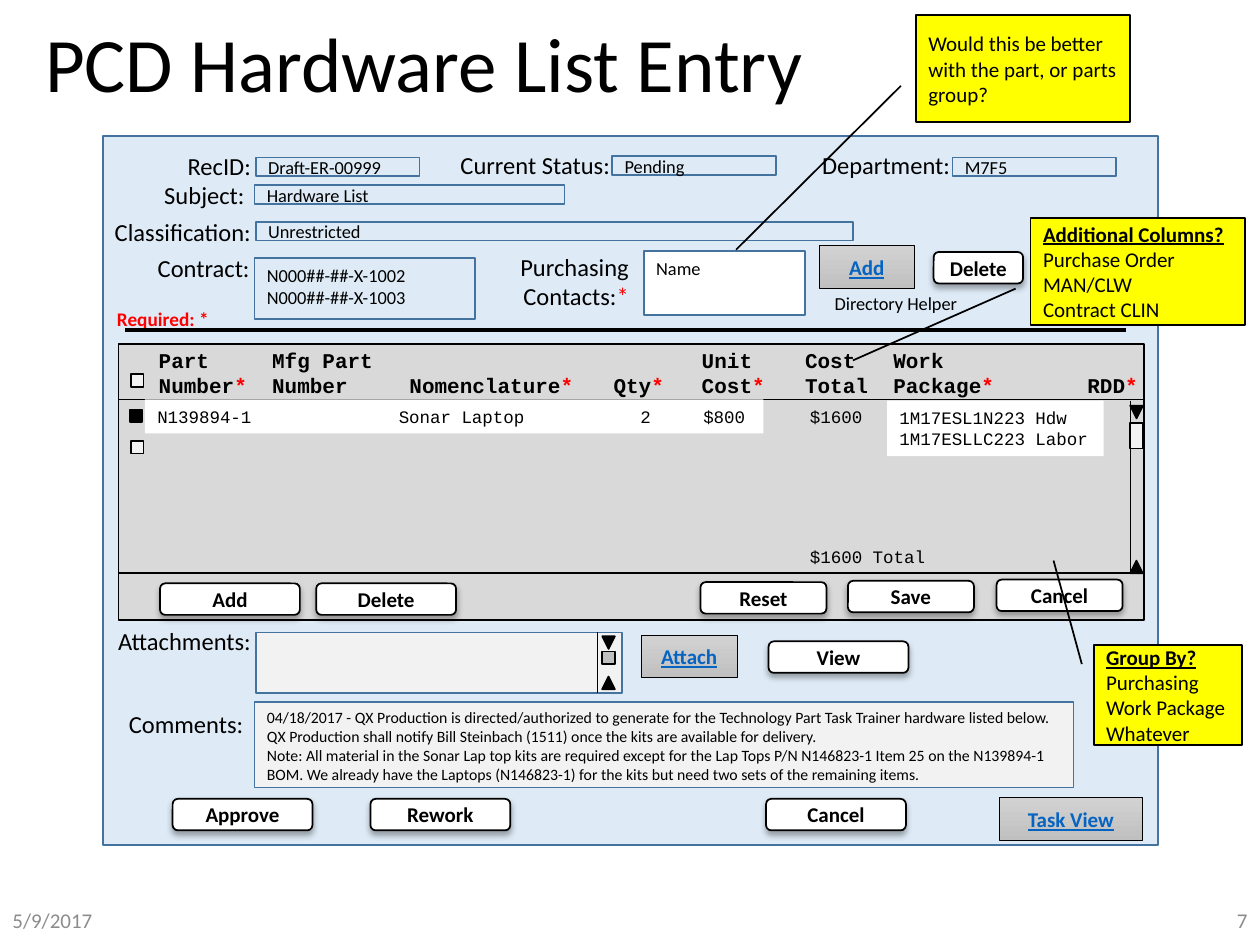
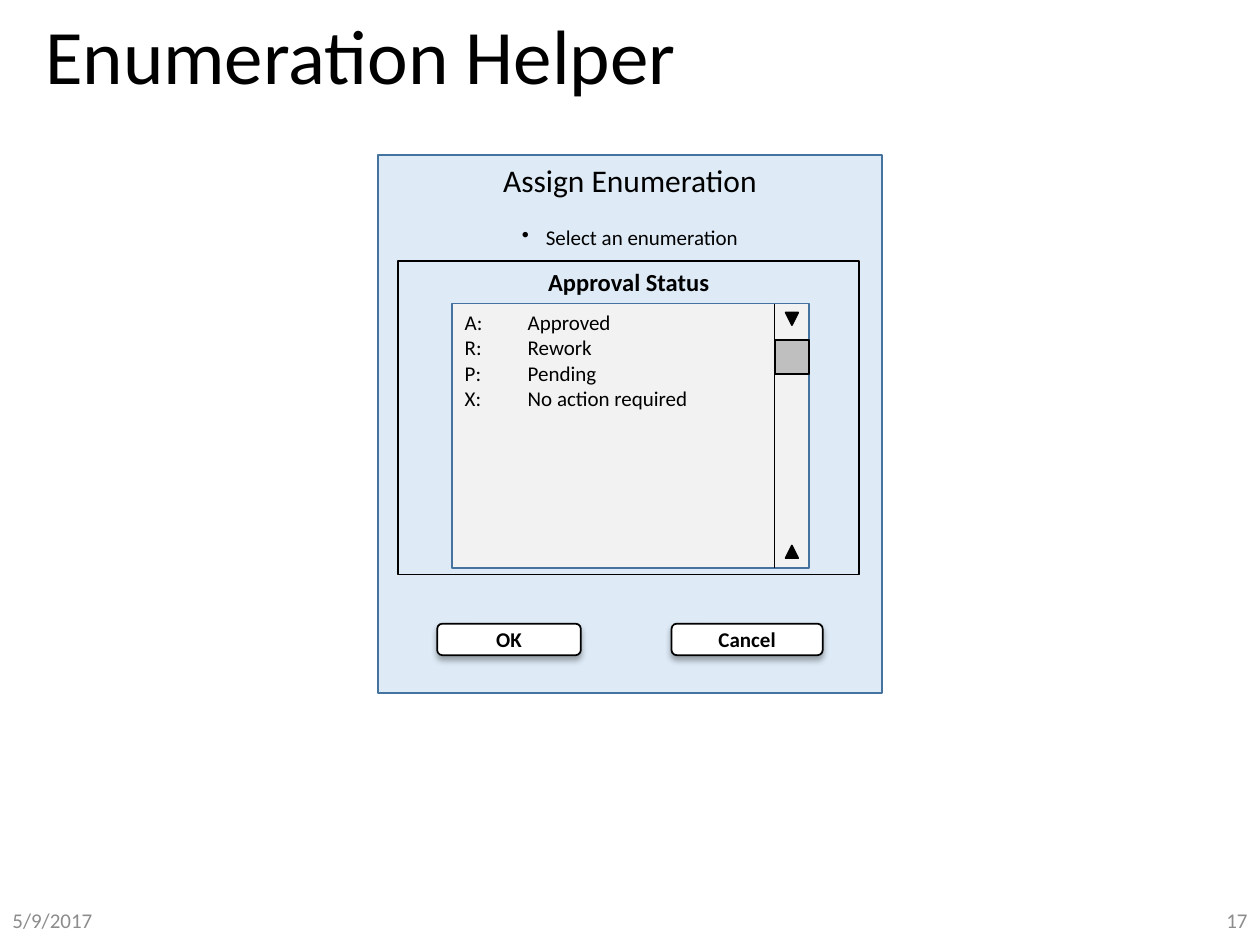
from dataclasses import dataclass
from typing import Any

from lxml import etree
from pptx import Presentation
from pptx.dml.color import RGBColor
from pptx.enum.shapes import MSO_CONNECTOR, MSO_SHAPE
from pptx.enum.text import MSO_ANCHOR, PP_ALIGN
from pptx.oxml.ns import qn
from pptx.util import Inches, Pt

RECT, ROUND = MSO_SHAPE.RECTANGLE, MSO_SHAPE.ROUNDED_RECTANGLE
PROCESS, TRIANGLE = MSO_SHAPE.FLOWCHART_PROCESS, MSO_SHAPE.ISOSCELES_TRIANGLE
LINK, CALLOUT = MSO_SHAPE.ACTION_BUTTON_CUSTOM, MSO_SHAPE.LINE_CALLOUT_1
STRAIGHT = MSO_CONNECTOR.STRAIGHT
LEFT, CENTER, RIGHT = PP_ALIGN.LEFT, PP_ALIGN.CENTER, PP_ALIGN.RIGHT
TOP, MIDDLE, BOTTOM = MSO_ANCHOR.TOP, MSO_ANCHOR.MIDDLE, MSO_ANCHOR.BOTTOM

BLACK, WHITE, RED, YELLOW = "000000", "FFFFFF", "FF0000", "FFFF00"
PANEL, EDGE, PALE = "DEEBF7", "43739E", "F2F2F2"
GRID, THUMB, MUTED, LINK_BLUE = "D9D9D9", "BFBFBF", "8C8C8C", "0563C1"
SANS, MONO = "Calibri", "Courier New"

WIDTH, HEIGHT, COLS = Inches(10), Inches(7.5), 100
CELL = WIDTH / COLS  # square grid: 100 columns by 75 rows
MONO_10 = 1 / 12  # character width in inches at 10 pt


@dataclass
class Box:
    """A region of the grid; parts are placed from its top left corner."""
    shapes: Any
    x: float = 0
    y: float = 0
    w: float = COLS
    h: float = 75

    def sub(self, x, y, w, h):
        return Box(self.shapes, self.x + x, self.y + y, w, h)

    def point(self, x, y):
        return round((self.x + x) * CELL), round((self.y + y) * CELL)

    def at(self, x, y, w, h):
        return *self.point(x, y), round(w * CELL), round(h * CELL)


def rgb(color):
    return RGBColor.from_string(color)


# Basic parts
def shape(box, at, kind=RECT, fill=None, line=BLACK, weight=1):
    sp = box.shapes.add_shape(kind, *box.at(*at))
    sp.shadow.inherit = False
    if fill:
        sp.fill.solid()
        sp.fill.fore_color.rgb = rgb(fill)
    else:
        sp.fill.background()
    if line:
        sp.line.color.rgb = rgb(line)
        sp.line.width = Pt(weight)
    else:
        sp.line.fill.background()
    return sp


def write(sp, lines, size, color=BLACK, font=SANS, bold=False, underline=False,
          align=LEFT, anchor=TOP):
    """Fill a shape with paragraphs; a closing asterisk is red."""
    tf = sp.text_frame
    tf.word_wrap = True
    tf.vertical_anchor = anchor
    for i, line in enumerate(lines):
        p = tf.add_paragraph() if i else tf.paragraphs[0]
        p.alignment = align
        p.font.size, p.font.name = Pt(size), font
        p.font.bold, p.font.underline = bold, underline
        p.font.color.rgb = rgb(color)
        p.add_run().text = line.removesuffix("*")
        if line.endswith("*"):
            r = p.add_run()
            r.text = "*"
            r.font.color.rgb = rgb(RED)
    return tf


def text(box, at, lines, size, **style):
    return write(box.shapes.add_textbox(*box.at(*at)), lines, size, **style)


def rule(box, start, end, weight):
    c = box.shapes.add_connector(STRAIGHT, *box.point(*start), *box.point(*end))
    c.line.color.rgb = rgb(BLACK)
    c.line.width = Pt(weight)
    etree.SubElement(c._element.spPr, qn("a:effectLst"))


def set_tabs(p, stops):
    tabs = etree.Element(qn("a:tabLst"))
    for stop in stops:
        etree.SubElement(tabs, qn("a:tab"), pos=str(Inches(stop)), algn="l")
    p._p.get_or_add_pPr().find(qn("a:defRPr")).addprevious(tabs)


def set_bullet(p, indent):
    pPr = p._p.get_or_add_pPr()
    pPr.set("marL", str(Inches(indent)))
    pPr.set("indent", str(-Inches(indent)))
    bullet = etree.Element(qn("a:buChar"), char="•")
    pPr.find(qn("a:defRPr")).addprevious(bullet)


# Form controls
def button(box, x, y, w, caption):
    sp = shape(box, (x, y, w, 2.5), ROUND, WHITE)
    effects = sp._element.spPr.find(qn("a:effectLst"))
    shadow = etree.SubElement(effects, qn("a:outerShdw"), blurRad=str(Pt(3.5)),
                              dist=str(Pt(2.2)), dir="5400000", algn="t", rotWithShape="0")
    color = etree.SubElement(shadow, qn("a:srgbClr"), val=BLACK)
    etree.SubElement(color, qn("a:alpha"), val="32000")
    write(sp, [caption], 12, bold=True, align=CENTER, anchor=MIDDLE)


def link_button(box, x, y, w, caption):
    sp = shape(box, (x, y, w, 3.4), LINK, weight=0.5)
    sp.fill.gradient()
    sp.fill.gradient_angle = 270
    for stop, color in zip(sp.fill.gradient_stops, ("D2D2D2", "C0C0C0")):
        stop.color.rgb = rgb(color)
    write(sp, [caption], 12, LINK_BLUE, bold=True, underline=True,
          align=CENTER, anchor=MIDDLE)


def label(box, x, y, w, caption, h=3.4):
    text(box, (x, y, w, h), [caption], 14, align=RIGHT)


def field(box, at, lines, fill=None, size=10.5, anchor=TOP):
    return write(shape(box, at, fill=fill, line=EDGE), lines, size, anchor=anchor)


def scrollbar(bar, pads, thumb_y, thumb_w, thumb_h, fill):
    rule(bar, (0, 0), (0, bar.h), 0.5)
    middle = bar.w / 2
    shape(bar, (middle - 0.5, pads[0], 1, 1), TRIANGLE, BLACK).rotation = 180
    shape(bar, (middle - 0.5, bar.h - pads[1] - 1, 1, 1), TRIANGLE, BLACK)
    shape(bar, (middle - thumb_w / 2, thumb_y, thumb_w, thumb_h), PROCESS, fill)


def callout(box, at, pointer, lines):
    sp = shape(box, at, CALLOUT, YELLOW)
    for i, value in enumerate(pointer):
        sp.adjustments[i] = value
    tf = write(sp, lines, 12, anchor=MIDDLE)
    if len(lines) > 1:
        tf.paragraphs[0].font.bold = tf.paragraphs[0].font.underline = True


# Regions of the hardware form
def record_fields(box):
    for x, y, w, caption in [
            (4.7, 0.7, 8, "RecID:"), (3.8, 3, 8.4, "Subject:"),
            (-0.3, 5.9, 13, "Classification:"), (3.3, 8.8, 9.3, "Contract:"),
            (27.2, 0.6, 14, "Current Status:"), (55.9, 0.6, 12.3, "Department:")]:
        label(box, x, y, w, caption)
    for x, y, w, value in [
            (12.1, 1.7, 13, "Draft-ER-00999"), (12, 3.9, 24.6, "Hardware List"),
            (12.1, 6.8, 47.4, "Unrestricted"), (40.4, 1.6, 13, "Pending"),
            (67.4, 1.7, 13, "M7F5")]:
        field(box, (x, y, w, 1.5), [value], anchor=MIDDLE)
    field(box, (12, 9.7, 17.5, 4.8), ["N000##-##-X-1002", "N000##-##-X-1003"])
    # Purchasing contacts
    label(box, 31.4, 8.7, 11.3, "Purchasing Contacts:*", 5.7)
    field(box, (42.9, 9.1, 12.8, 5.1), ["Name"], WHITE)
    button(box, 65.9, 9.2, 7.1, "Delete")
    text(box, (56.5, 11.9, 12.8, 2.7), ["Directory Helper"], 10.5, align=CENTER)
    link_button(box, 56.8, 8.7, 7.6, "Add")
    # Closing rule
    text(box, (0.1, 13.1, 11.5, 2.9), ["Required: *"], 11, color=RED, bold=True)
    rule(box, (1.7, 15.4), (81.2, 15.4), 2.25)


def parts_list(box):
    shape(box, (0, 0, box.w, box.h), PROCESS, GRID)
    scrollbar(box.sub(80.3, 4.5, 1, 13.7), (0.4, 0), 1.8, 1, 2, PALE)
    for y in (4.4, 18.2):
        rule(box, (0, y), (box.w, y), 1)
    # Column heads, one cell per character at 12 pt
    for x, *lines in [
            (3.1, "Part", "Number*"), (12.1, "Mfg Part", "Number"),
            (23, "Nomenclature*"), (39.2, "Qty*"), (46.2, "Unit", "Cost*"),
            (54.4, "Cost", "Total"), (61.4, "Work", "Package*"), (76.8, "RDD*")]:
        w = max(map(len, lines)) + 0.4
        tf = text(box, (x, 0.4, w, 4), lines, 12, font=MONO, bold=True, anchor=BOTTOM)
        tf.margin_left = tf.margin_right = Inches(0.01)
        tf.margin_top = tf.margin_bottom = Inches(0.01)
    # Check boxes
    for x, y, fill in [(1, 2.4, PALE), (0.9, 5.2, BLACK), (1, 7.7, PALE)]:
        shape(box, (x, y, 1, 1), PROCESS, fill)
    # Row
    tf = write(shape(box, (2.1, 4.4, 49.1, 2.7), fill=WHITE, line=None),
               ["N139894-1\tSonar Laptop\t2\t$800"], 10, font=MONO)
    set_tabs(tf.paragraphs[0], [n * MONO_10 for n in (23, 46, 52)])
    write(shape(box, (61, 4.5, 17.2, 4.4), fill=WHITE, line=None),
          ["1M17ESL1N223 Hdw", "1M17ESLLC223 Labor"], 10, font=MONO)
    tf = text(box, (53.9, 4.4, 11.3, 14.5), ["$1600", "$1600 Total"], 10, font=MONO)
    tf.paragraphs[1].space_before = Pt(68)
    # Buttons
    for x, y, w, caption in [
            (3.3, 19, 11.1, "Add"), (15.7, 19, 11.1, "Delete"),
            (46.2, 18.9, 10, "Reset"), (57.9, 18.8, 10, "Save"),
            (69.7, 18.7, 10, "Cancel")]:
        button(box, x, y, w, caption)


def attachments(box):
    label(box, 0, 0, 12.7, "Attachments:")
    shape(box, (12.1, 1, 29.1, 4.8), fill=PALE, line=EDGE)
    scrollbar(box.sub(39.2, 1, 1.8, 4.8), (0.3, 0.3), 1.5, 1, 1, THUMB)
    link_button(box, 42.7, 1.2, 7.6, "Attach")
    button(box, 52.8, 1.7, 11.1, "View")


def comments(box):
    label(box, 0, 0.1, 12.1, "Comments:")
    field(box, (12, 0, 65, box.h), [
        "04/18/2017 - QX Production is directed/authorized to generate for the "
        "Technology Part Task Trainer hardware listed below. QX Production shall "
        "notify Bill Steinbach (1511) once the kits are available for delivery.",
        "Note: All material in the Sonar Lap top kits are required except for the "
        "Lap Tops P/N N146823-1 Item 25 on the N139894-1 BOM. We already have the "
        "Laptops (N146823-1) for the kits but need two sets of the remaining items.",
    ], PALE, 9)


def form_actions(box):
    for x, caption in [(5.5, "Approve"), (21.2, "Rework"), (52.6, "Cancel")]:
        button(box, x, 0.1, 11.1, caption)
    link_button(box, 71.1, 0, 11.4, "Task View")


def review_notes(box):
    callout(box, (81.8, 17.3, 17, 8.5), (0.66, -0.07, 1.33, -0.83),
            ["Additional Columns?", "Purchase Order", "MAN/CLW", "Contract CLIN"])
    callout(box, (86.8, 51.2, 11.8, 7.9), (0.19, -0.08, -0.85, -0.27),
            ["Group By?", "Purchasing", "Work Package", "Whatever"])
    callout(box, (72.7, 1.2, 17, 8.5), (0.66, -0.07, 2.19, -0.84),
            ["Would this be better with the part, or parts group?"])


def enumeration_dialog(box):
    tf = write(shape(box, (0, 0, box.w, box.h), fill=PANEL, line=EDGE),
               ["Assign Enumeration", "Select an enumeration"], 18, align=CENTER)
    hint = tf.paragraphs[1]
    hint.font.size, hint.space_before = Pt(12), Pt(14.6)
    set_bullet(hint, 0.19)
    for x, w, caption in [(4.7, 11.4, "OK"), (23.3, 12, "Cancel")]:
        button(box, x, 37.2, w, caption)
    # Status list
    tf = field(box, (5.9, 11.8, 28.3, 21), [
        "A:\tApproved", "R:\tRework", "P:\tPending", "X:\tNo action required"], PALE, 12)
    for p in tf.paragraphs:
        set_tabs(p, [0.5])
    scrollbar(box.sub(31.5, 11.8, 2.7, 21), (0.7, 0.8), 2.9, 2.7, 2.7, THUMB)
    write(shape(box, (1.6, 8.4, 36.6, 24.9)), ["Approval Status"], 14,
          bold=True, align=CENTER)


# Slides
def new_slide(prs, title, title_at, number):
    s = prs.slides.add_slide(prs.slide_layouts[6])
    page = Box(s.shapes)
    tf = text(page, title_at, [title], 44, anchor=MIDDLE)
    tf.paragraphs[0].line_spacing = 0.9
    for x, value, align in [(0, "5/9/2017", LEFT), (77.5, number, RIGHT)]:
        text(page, (x, 71, 22.5, 4), [value], 12, color=MUTED, align=align, anchor=MIDDLE)
    return page


def hardware_slide(prs):
    page = new_slide(prs, "PCD Hardware List Entry", (2.6, 1, 86.2, 8.7), "7")
    form = page.sub(8.2, 10.8, 83.7, 56.3)
    shape(form, (0, 0, form.w, form.h), fill=PANEL, line=EDGE)
    record_fields(form.sub(0, 0, form.w, 16))
    parts_list(form.sub(1.2, 16.5, 81.4, 21.9))
    attachments(form.sub(0, 38.4, form.w, 6))
    comments(form.sub(0, 44.9, form.w, 6.8))
    form_actions(form.sub(0, 52.5, form.w, 3.4))
    review_notes(page)


def enumeration_slide(prs):
    page = new_slide(prs, "Enumeration Helper", (2.6, 0.9, 95, 7.6), "17")
    enumeration_dialog(page.sub(30, 12.3, 40, 42.7))


def main():
    prs = Presentation()
    prs.slide_width, prs.slide_height = WIDTH, HEIGHT
    hardware_slide(prs)
    enumeration_slide(prs)
    prs.save("out.pptx")


if __name__ == "__main__":
    main()
